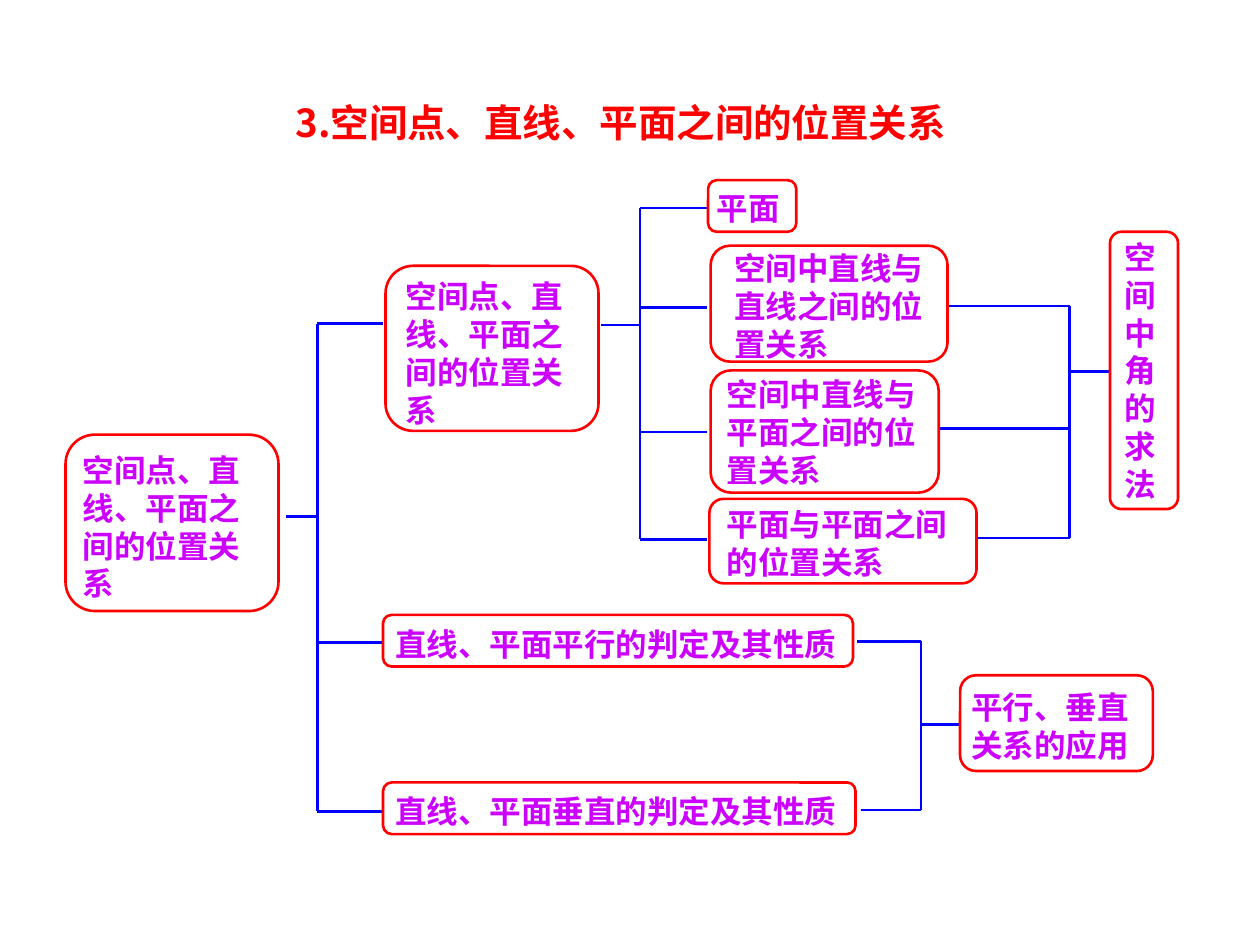
from lxml import etree
from pptx import Presentation
from pptx import util as u
from pptx.dml.color import RGBColor
from pptx.enum import shapes, text
from pptx.oxml import ns

FONT = "Noto Sans CJK SC"
RED = RGBColor(0xFF, 0x00, 0x00)
PURPLE = RGBColor(0xCC, 0x00, 0xFF)
BLUE = RGBColor(0x00, 0x00, 0xFF)
WHITE = RGBColor(0xFF, 0xFF, 0xFF)
LINE_WIDTH = u.Pt(1.5)

TITLE = "3.空间点、直线、平面之间的位置关系"
TITLE_FRAME = (1.33, 0.56, 7.19, 0.62)
TOPIC = "空间点、直线、平面之间的位置关系"

# Each node: label lines, outline frame, label frame
NODES = [
    ([TOPIC], (0.52, 3.45, 1.69, 1.4), (0.56, 3.5, 1.59, 1.3)),
    ([TOPIC], (3.06, 2.11, 1.69, 1.31), (3.12, 2.12, 1.48, 1.3)),
    (["平面"], (5.62, 1.43, 0.7, 0.41), (5.59, 1.42, 0.98, 0.4)),
    (["空间中直线与直线之间的位置关系"], (5.64, 1.95, 1.88, 0.92), (5.73, 1.9, 1.85, 1)),
    (["空间中直线与平面之间的位置关系"], (5.64, 2.94, 1.81, 0.97), (5.67, 2.9, 1.85, 1)),
    (["平面与平面之间的位置关系"], (5.63, 3.96, 2.12, 0.67), (5.67, 3.93, 1.99, 0.7)),
    (["直线、平面平行的判定及其性质"], (3.04, 4.88, 3.73, 0.41), (3.04, 4.88, 4.06, 0.4)),
    (["直线、平面垂直的判定及其性质"], (3.04, 6.21, 3.75, 0.41), (3.04, 6.21, 4.06, 0.4)),
    (["平行、垂直关系的应用"], (7.62, 5.36, 1.53, 0.76), (7.61, 5.38, 1.68, 0.7)),
    (list("空间中角的求法"), (8.81, 1.84, 0.54, 2.2), (8.83, 1.81, 0.77, 2.2)),
]

BRACKETS = [
    {"trunk": 2.52, "branches": [(2.27, 4.1), (3.04, 2.57), (3.04, 5.1), (3.03, 6.44)]},
    {"trunk": 5.08, "branches": [(4.77, 2.58), (5.61, 1.65), (5.61, 2.44),
                                 (5.61, 3.43), (5.61, 4.28)]},
    {"trunk": 7.31, "branches": [(6.8, 5.09), (6.83, 6.43), (7.61, 5.75)]},
    {"trunk": 8.49, "branches": [(7.52, 2.43), (7.44, 3.4), (7.76, 4.27), (8.8, 2.95)]},
]


def inches(values):
    return [u.Inches(value) for value in values]


def write_text(shape, lines, size, color, pitch, align=text.PP_ALIGN.LEFT):
    frame = shape.text_frame
    frame.word_wrap = True
    frame.auto_size = text.MSO_AUTO_SIZE.NONE
    frame.vertical_anchor = text.MSO_ANCHOR.TOP
    frame.margin_left = frame.margin_right = u.Inches(0.1)
    frame.margin_top, frame.margin_bottom = inches((0.08, 0.02))
    for index, line in enumerate(lines):
        paragraph = frame.paragraphs[0] if index == 0 else frame.add_paragraph()
        paragraph.alignment = align
        paragraph.line_spacing = u.Pt(pitch)
        paragraph.space_before = paragraph.space_after = u.Pt(0)
        run = paragraph.add_run()
        run.text = line
        run.font.name = FONT
        run.font.size = u.Pt(size)
        run.font.bold = True
        run.font.color.rgb = color
        east_asian = etree.SubElement(run.font._element, ns.qn("a:ea"))
        east_asian.set("typeface", FONT)


def add_line(slide, *ends):
    connector = slide.shapes.add_connector(shapes.MSO_CONNECTOR.STRAIGHT, *inches(ends))
    connector.line.color.rgb = BLUE
    connector.line.width = LINE_WIDTH
    etree.SubElement(connector._element.spPr, ns.qn("a:effectLst"))


def add_bracket(slide, trunk, branches):
    heights = [y for _, y in branches]
    add_line(slide, trunk, min(heights), trunk, max(heights))
    for x, y in branches:
        add_line(slide, min(x, trunk), y, max(x, trunk), y)


def add_node(slide, lines, outline, label):
    shape = slide.shapes.add_shape(shapes.MSO_SHAPE.ROUNDED_RECTANGLE, *inches(outline))
    shape.shadow.inherit = False
    shape.fill.solid()
    shape.fill.fore_color.rgb = WHITE
    shape.line.color.rgb = RED
    shape.line.width = LINE_WIDTH
    write_text(slide.shapes.add_textbox(*inches(label)), lines, 18, PURPLE, 21.6)


def main():
    presentation = Presentation()
    presentation.slide_width, presentation.slide_height = inches((10, 7.5))
    slide = presentation.slides.add_slide(presentation.slide_layouts[5])
    title = slide.shapes.title
    title.left, title.top, title.width, title.height = inches(TITLE_FRAME)
    write_text(title, [TITLE], 22, RED, 37, text.PP_ALIGN.CENTER)
    for bracket in BRACKETS:
        add_bracket(slide, **bracket)
    for node in NODES:
        add_node(slide, *node)
    presentation.save("out.pptx")


if __name__ == "__main__":
    main()
